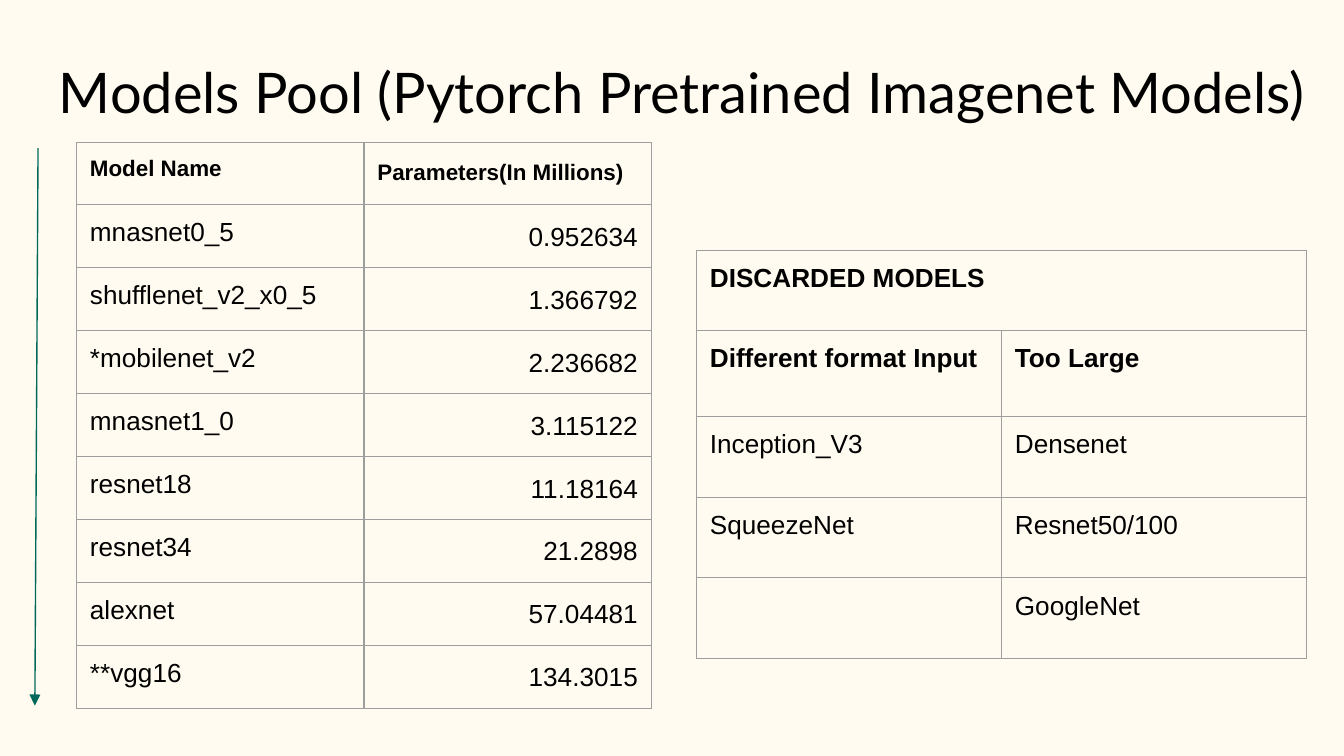
from lxml import etree
from pptx import Presentation
from pptx.dml.color import RGBColor
from pptx.enum.shapes import MSO_CONNECTOR
from pptx.enum.text import MSO_ANCHOR, PP_ALIGN
from pptx.oxml.ns import qn
from pptx.util import Pt

STRAIGHT = MSO_CONNECTOR.STRAIGHT
TOP = MSO_ANCHOR.TOP
LEFT, RIGHT = PP_ALIGN.LEFT, PP_ALIGN.RIGHT

# Content
TITLE = "Models Pool (Pytorch Pretrained Imagenet Models)"
MODELS = [
    ("Model Name", "Parameters(In Millions)"),
    ("mnasnet0_5", "0.952634"),
    ("shufflenet_v2_x0_5", "1.366792"),
    ("*mobilenet_v2", "2.236682"),
    ("mnasnet1_0", "3.115122"),
    ("resnet18", "11.18164"),
    ("resnet34", "21.2898"),
    ("alexnet", "57.04481"),
    ("**vgg16", "134.3015"),
]
DISCARDED = [
    ("DISCARDED MODELS", ""),
    ("Different format Input", "Too Large"),
    ("Inception_V3", "Densenet"),
    ("SqueezeNet", "Resnet50/100"),
    ("", "GoogleNet"),
]


class Theme:
    background = RGBColor.from_string("FFFBF0")
    text = RGBColor.from_string("000000")
    arrow = RGBColor.from_string("00695C")
    border = "9E9E9E"
    line = Pt(0.75)
    inset = Pt(7.2)
    title_font, body_font = "Lato", "Arial"
    title_size, body_size, header_size = 30, 14, 12


def write(paragraph, text, font, size, bold=False):
    paragraph.text = text
    for run in paragraph.runs:
        run.font.name = font
        run.font.size = Pt(size)
        run.font.bold = bold
        run.font.color.rgb = Theme.text


def set_insets(target):
    target.margin_left = target.margin_right = Theme.inset
    target.margin_top = target.margin_bottom = Theme.inset


def add_borders(cell):
    properties = cell._tc.get_or_add_tcPr()
    for side in ("a:lnL", "a:lnR", "a:lnT", "a:lnB"):
        line = etree.SubElement(properties, qn(side), w=str(int(Theme.line)))
        fill = etree.SubElement(line, qn("a:solidFill"))
        etree.SubElement(fill, qn("a:srgbClr"), val=Theme.border)


def add_grid(slide, rows, left, top, column_width, row_heights,
             header_rows, header_size, numeric=False):
    columns = len(rows[0])
    table = slide.shapes.add_table(
        len(rows), columns, Pt(left), Pt(top),
        Pt(column_width * columns), Pt(sum(row_heights))).table
    table.first_row = table.horz_banding = False
    for column in table.columns:
        column.width = Pt(column_width)
    for r, values in enumerate(rows):
        table.rows[r].height = Pt(row_heights[r])
        header = r < header_rows
        for c, value in enumerate(values):
            cell = table.cell(r, c)
            set_insets(cell)
            add_borders(cell)
            cell.fill.background()
            paragraph = cell.text_frame.paragraphs[0]
            write(paragraph, value, Theme.body_font,
                  header_size if header else Theme.body_size, header)
            if numeric and c > 0:
                paragraph.line_spacing = 1.15
                paragraph.alignment = LEFT if header else RIGHT
    return table


presentation = Presentation()
presentation.slide_width, presentation.slide_height = Pt(720), Pt(405)
slide = presentation.slides.add_slide(presentation.slide_layouts[6])
slide.background.fill.solid()
slide.background.fill.fore_color.rgb = Theme.background

# Title
title = slide.shapes.add_textbox(Pt(24.5), Pt(23.8), Pt(690), Pt(48.2))
title_frame = title.text_frame
title_frame.word_wrap = True
title_frame.vertical_anchor = TOP
set_insets(title_frame)
write(title_frame.paragraphs[0], TITLE, Theme.title_font, Theme.title_size)

# Tables of kept and discarded models
add_grid(slide, MODELS, 41, 76.4, 154, [33.2] * len(MODELS),
         1, Theme.header_size, numeric=True)
discarded = add_grid(slide, DISCARDED, 373.1, 134, 163.4,
                     [43.2, 46, 43.2, 43.2, 43.2], 2, Theme.body_size)
discarded.cell(0, 0).merge(discarded.cell(0, 1))

# Arrow of growing model size
arrow = slide.shapes.add_connector(STRAIGHT, Pt(20.4), Pt(79.4), Pt(18.7), Pt(378))
arrow.line.color.rgb = Theme.arrow
arrow.line.width = Theme.line
etree.SubElement(arrow.line._get_or_add_ln(), qn("a:tailEnd"),
                 type="triangle", w="med", len="med")
etree.SubElement(arrow._element.spPr, qn("a:effectLst"))

presentation.save("out.pptx")
